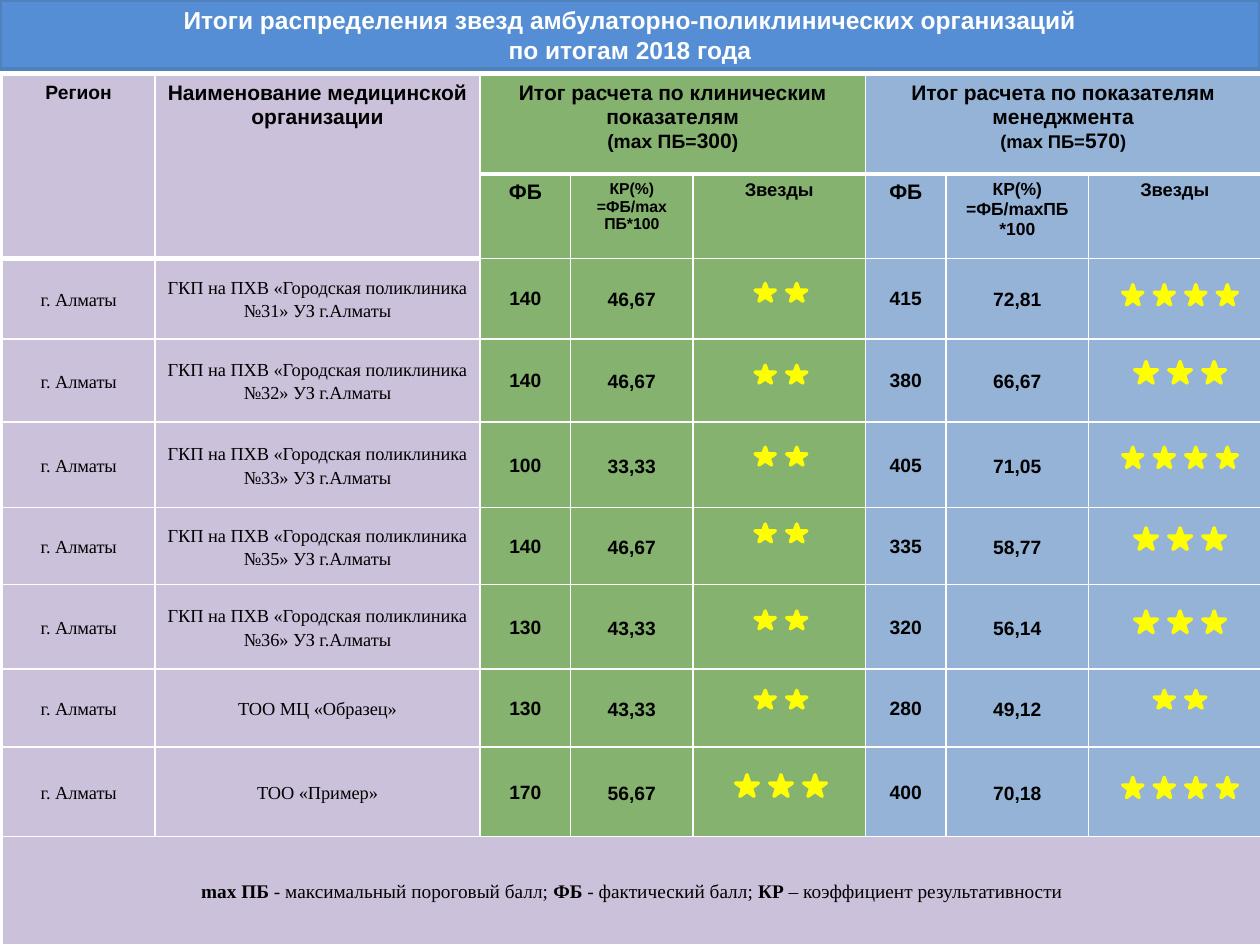
import pptx
import pptx.dml.color
import pptx.enum.shapes
import pptx.enum.text
import pptx.oxml
import pptx.oxml.ns
import pptx.util

WIDTH, HEIGHT = 10, 7.5
LILAC, GREEN, BLUE = "CCC1DA", "85B26E", "95B3D7"
TITLE = "Итоги распределения звезд амбулаторно-поликлинических организаций\vпо итогам 2018 года"
COLUMNS = [1.21, 2.58, 0.72, 0.97, 1.37, 0.64, 1.13, 1.37]
ROWS = [0.78, 0.67, 0.64, 0.66, 0.68, 0.61, 0.67, 0.62, 0.71, 0.86]
FILLS = [LILAC] * 2 + [GREEN] * 3 + [BLUE] * 3
HEADER_ROWS = 2
CLINIC = "ГКП на ПХВ «Городская поликлиника №{}» УЗ г.Алматы"
RESULTS = [
    (CLINIC.format(31), ("140", "46,67", 2, 0.2), ("415", "72,81", 4, 0.21)),
    (CLINIC.format(32), ("140", "46,67", 2, 0.21), ("380", "66,67", 3, 0.18)),
    (CLINIC.format(33), ("100", "33,33", 2, 0.2), ("405", "71,05", 4, 0.2)),
    (CLINIC.format(35), ("140", "46,67", 2, 0.13), ("335", "58,77", 3, 0.16)),
    (CLINIC.format(36), ("130", "43,33", 2, 0.21), ("320", "56,14", 3, 0.21)),
    ("ТОО МЦ «Образец»", ("130", "43,33", 2, 0.17), ("280", "49,12", 2, 0.17)),
    ("ТОО «Пример»", ("170", "56,67", 3, 0.22), ("400", "70,18", 4, 0.24)),
]
HEADINGS = [
    (0, 0, [[("Регион", 11)]]),
    (0, 1, [[("Наименование медицинской организации", 12)]]),
    (0, 2, [[("Итог расчета по клиническим показателям", 12)],
            [("(mах ПБ=", 11), ("300", 12), (")", 11)]]),
    (0, 5, [[("Итог расчета по показателям менеджмента", 12)],
            [("(mах ПБ=", 10.5), ("570", 12), (")", 10.5)]]),
    (1, 2, [[("ФБ", 12)]]),
    (1, 3, [[("КР(%)", 9)], [("=ФБ/mах ПБ*100", 9)]]),
    (1, 4, [[("Звезды", 10.5)]]),
    (1, 5, [[("ФБ", 12)]]),
    (1, 6, [[("КР(%)", 10)], [("=ФБ/mахПБ *100", 10)]]),
    (1, 7, [[("Звезды", 10.5)]]),
]
LEGEND = [("mах ПБ ", True), ("- максимальный пороговый балл; ", False), ("ФБ", True),
          (" - фактический балл; ", False), ("КР", True),
          (" – коэффициент результативности", False)]
STAR_SIZES = {2: (0.16, 0.14, 0.25), 3: (0.18, 0.17, 0.27), 4: (0.16, 0.16, 0.25)}
STAR_COLUMNS = [(4, 0.51), (7, 0.53)]


def colour(value):
    """Return the colour for a hex string."""
    return pptx.dml.color.RGBColor.from_string(value)


def inches(*values):
    """Return lengths in inches as a list."""
    return [pptx.util.Inches(value) for value in values]


def paint(shape, fill, line):
    """Give a shape a flat fill and a two-point line."""
    shape.fill.solid()
    shape.fill.fore_color.rgb = colour(fill)
    shape.line.color.rgb = colour(line)
    shape.line.width = pptx.util.Pt(2)


def style(font, size, bold=True, face="Arial", shade="000000"):
    """Set the face, size, weight and colour of a font."""
    font.name, font.size, font.bold = face, pptx.util.Pt(size), bold
    font.color.rgb = colour(shade)


def write(frame, paragraphs, face="Arial", spacing=None):
    """Write centred paragraphs made of (text, size, bold) spans."""
    for index, spans in enumerate(paragraphs):
        para = frame.add_paragraph() if index else frame.paragraphs[0]
        para.alignment = pptx.enum.text.PP_ALIGN.CENTER
        if spacing:
            para.line_spacing = spacing
        formats = {span[1:] for span in spans}
        if len(formats) == 1:
            style(para.font, *spans[0][1:], face=face)
        for text, *look in spans:
            span = para.add_run()
            span.text = text
            if len(formats) > 1:
                style(span.font, *look, face=face)


def border(cell, bottom):
    """Draw white lines round a cell, the bottom one of the given width."""
    properties = cell._tc.get_or_add_tcPr()
    for index, (side, width) in enumerate([("L", 1), ("R", 1), ("T", 1), ("B", bottom)]):
        properties.insert(index, pptx.oxml.parse_xml(
            f'<a:ln{side} {pptx.oxml.ns.nsdecls("a")} w="{pptx.util.Pt(width)}">'
            f'<a:solidFill><a:srgbClr val="FFFFFF"/></a:solidFill></a:ln{side}>'))


def fill_body(cell, spans, face="Arial", margins=(0.07, 0, 0.07, 0), spacing=1.15):
    """Write one vertically centred paragraph in a body cell."""
    cell.vertical_anchor = pptx.enum.text.MSO_ANCHOR.MIDDLE
    cell.margin_left, cell.margin_top, cell.margin_right, cell.margin_bottom = inches(*margins)
    write(cell.text_frame, [spans], face, spacing)


def add_title(page, left, top, width, height):
    """Format the title placeholder as a coloured band."""
    band = page.shapes.title
    band.left, band.top, band.width, band.height = inches(left, top, width, height)
    paint(band, "558ED5", "4F81BD")
    frame = band.text_frame
    frame.auto_size = pptx.enum.text.MSO_AUTO_SIZE.NONE
    frame.vertical_anchor = pptx.enum.text.MSO_ANCHOR.MIDDLE
    frame.text = TITLE
    para = frame.paragraphs[0]
    para.alignment = pptx.enum.text.PP_ALIGN.CENTER
    style(para.font, 14, shade="FFFFFF")


def add_results(page, left, top):
    """Build the results table with its headings and legend."""
    frame = page.shapes.add_table(len(ROWS), len(COLUMNS),
                                  *inches(left, top, sum(COLUMNS), sum(ROWS)))
    table = frame.table
    table.first_row = table.horz_banding = False
    for column, width in zip(table.columns, COLUMNS):
        column.width = pptx.util.Inches(width)
    for row, height in zip(table.rows, ROWS):
        row.height = pptx.util.Inches(height)
    last = len(ROWS) - 1
    for row in range(len(ROWS)):
        for column, fill in enumerate(FILLS):
            cell = table.cell(row, column)
            cell.fill.solid()
            cell.fill.fore_color.rgb = colour(LILAC if row == last else fill)
            border(cell, 3 if row == 0 else 1)
    for first, end in [((0, 0), (1, 0)), ((0, 1), (1, 1)), ((0, 2), (0, 4)),
                       ((0, 5), (0, 7)), ((last, 0), (last, 7))]:
        table.cell(*first).merge(table.cell(*end))
    for row, column, paragraphs in HEADINGS:
        spans = [[(text, size, True) for text, size in line] for line in paragraphs]
        write(table.cell(row, column).text_frame, spans)
    for row, (name, *scores) in enumerate(RESULTS, HEADER_ROWS):
        for column, text in enumerate(["г. Алматы", name]):
            fill_body(table.cell(row, column), [(text, 10.5, False)], "Times New Roman")
        for column, (points, ratio, *_) in zip((2, 5), scores):
            fill_body(table.cell(row, column), [(points, 11, True)],
                      margins=(0.01, 0.01, 0.01, 0), spacing=None)
            fill_body(table.cell(row, column + 1), [(ratio, 11, True)])
    fill_body(table.cell(last, 0), [(text, 11, bold) for text, bold in LEGEND],
              "Times New Roman")


def add_stars(page, centre, top, count):
    """Draw a group of stars centred on a horizontal position."""
    width, height, pitch = STAR_SIZES[count]
    left = centre - ((count - 1) * pitch + width) / 2
    group = page.shapes.add_group_shape()
    for index in range(count):
        star = group.shapes.add_shape(pptx.enum.shapes.MSO_SHAPE.STAR_5_POINT,
                                      *inches(left + index * pitch, top, width, height))
        star.shadow.inherit = False
        paint(star, "FFFF00", "FFFF00")


def add_ratings(page, left, top):
    """Place the star ratings over the star columns of the table."""
    for row, (_, *scores) in enumerate(RESULTS, HEADER_ROWS):
        for (column, share), (*_, count, drop) in zip(STAR_COLUMNS, scores):
            centre = left + sum(COLUMNS[:column]) + share * COLUMNS[column]
            add_stars(page, centre, top + sum(ROWS[:row]) + drop, count)


def main():
    """Build and save the slide."""
    deck = pptx.Presentation()
    deck.slide_width, deck.slide_height = inches(WIDTH, HEIGHT)
    page = deck.slides.add_slide(deck.slide_layouts[5])
    add_title(page, 0, 0, WIDTH, 0.55)
    add_results(page, 0.02, 0.6)
    add_ratings(page, 0.02, 0.6)
    deck.save("out.pptx")


if __name__ == "__main__":
    main()
